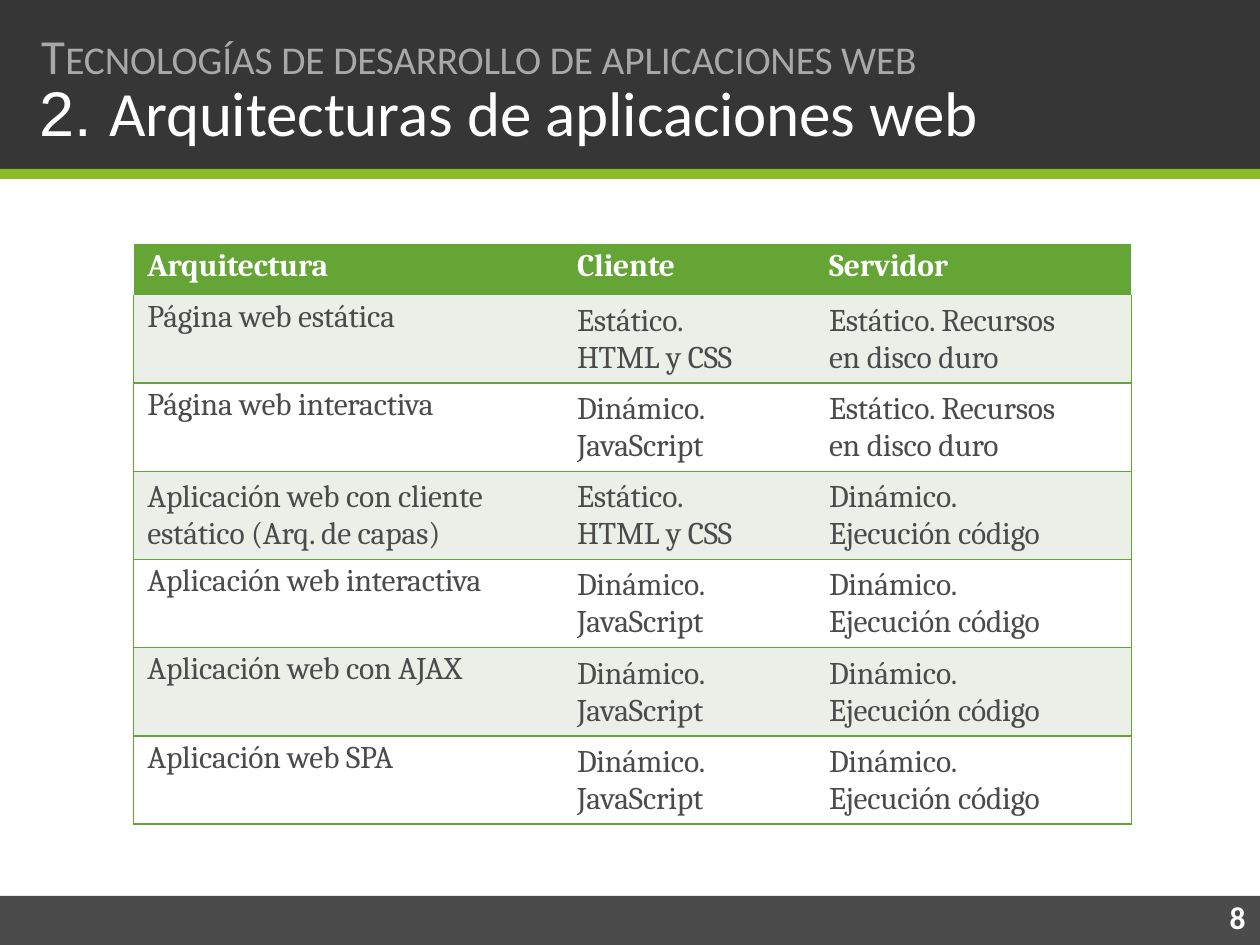
from lxml import etree
from pptx import Presentation
from pptx import util as u
from pptx.dml.color import RGBColor
from pptx.enum import shapes
from pptx.oxml import ns

HUES = {"dark": "363636", "foot": "4B4B4B", "lime": "8BBB28", "green": "65A535",
        "pale": "EAF0E8", "white": "FFFFFF", "grey": "A7A8A7"}
PLAIN = "{2D5ABB26-0587-4C30-8999-92F81FD0307C}"
HEADS = ["Arquitectura", "Cliente", "Servidor"]
STILL, LIVE = "Estático.\nHTML y CSS", "Dinámico.\nJavaScript"
DISK, CODE = "Estático. Recursos\nen disco duro", "Dinámico.\nEjecución código"
ROWS = [
    ["Página web estática", STILL, DISK],
    ["Página web interactiva", LIVE, DISK],
    ["Aplicación web con cliente\nestático (Arq. de capas)", STILL, CODE],
    ["Aplicación web interactiva", LIVE, CODE],
    ["Aplicación web con AJAX", LIVE, CODE],
    ["Aplicación web SPA", LIVE, CODE],
]
WIDTHS = [3.27, 1.96, 2.69]
INDENTS = [0.11, 0.25, 0.29]


def tint(name):
    """Return the named colour."""
    return RGBColor.from_string(HUES[name])


def add_run(para, words, size, hue, font, bold=False, gap=0):
    """Add one run, with letter spacing in points."""
    run = para.add_run()
    run.text = words
    run.font.size, run.font.name, run.font.bold = u.Pt(size), font, bold
    run.font.color.rgb = tint(hue)
    run.font._element.set("spc", str(round(gap * 100)))


def set_para(para, indent, before=0, line=None):
    """Set the left indent, space before and line pitch of a paragraph."""
    para._p.get_or_add_pPr().set("marL", str(u.Inches(indent)))
    para.space_before = u.Pt(before)
    if line:
        para.line_spacing = u.Pt(line)


def add_bar(slide, top, height, hue):
    """Add a band across the whole slide."""
    bar = slide.shapes.add_shape(shapes.MSO_SHAPE.RECTANGLE, 0, u.Inches(top),
                                 u.Inches(10), u.Inches(height))
    bar.shadow.inherit = False
    bar.fill.solid()
    bar.fill.fore_color.rgb = tint(hue)
    bar.line.fill.background()


def add_label(slide, spot, runs, indent, inset=0, before=0, line=None):
    """Add a one-line text box made of runs."""
    frame = slide.shapes.add_textbox(*map(u.Inches, spot)).text_frame
    frame.word_wrap = True
    frame.margin_left = frame.margin_right = frame.margin_bottom = 0
    frame.margin_top = u.Inches(inset)
    para = frame.paragraphs[0]
    set_para(para, indent, before, line)
    for run in runs:
        add_run(para, *run)


def add_edge(cell, side):
    """Draw a green line on one side of a cell."""
    props = cell._tc.get_or_add_tcPr()
    edge = etree.SubElement(props, ns.qn(f"a:ln{side}"), w=str(u.Pt(1)))
    fill = etree.SubElement(edge, ns.qn("a:solidFill"))
    etree.SubElement(fill, ns.qn("a:srgbClr"), val=HUES["green"])


def fill_cell(cell, words, row, col):
    """Write and style one cell by its place in the grid."""
    lines = words.split("\n")
    tall = len(lines) > 1
    cell.margin_left = cell.margin_right = cell.margin_bottom = 0
    cell.margin_top = u.Inches(0.06 if tall else 0.03)
    para = cell.text_frame.paragraphs[0]
    set_para(para, INDENTS[col], 4.1 if tall else 2.5, 21.1 if tall else None)
    for num, line in enumerate(lines):
        if num:
            para.add_line_break()
        add_run(para, line, 18, "foot" if row else "white", "Cambria", not row, -0.1)
    if row:
        for side in ["LB", "B", "RB"][col]:
            add_edge(cell, side)
    if row and row % 2 == 0:
        cell.fill.background()
    else:
        cell.fill.solid()
        cell.fill.fore_color.rgb = tint("pale" if row else "green")


def add_grid(slide):
    """Add the table of architectures."""
    data = [HEADS] + ROWS
    frame = slide.shapes.add_table(len(data), len(HEADS), u.Inches(1.06), u.Inches(1.94),
                                   u.Inches(sum(WIDTHS)), u.Inches(4.6))
    grid = frame.table
    grid.horz_banding = False
    grid._tbl.tblPr.find(ns.qn("a:tableStyleId")).text = PLAIN
    for col, width in enumerate(WIDTHS):
        grid.columns[col].width = u.Inches(width)
    for row, texts in enumerate(data):
        grid.rows[row].height = u.Inches(0.7 if row else 0.4)
        for col, words in enumerate(texts):
            fill_cell(grid.cell(row, col), words, row, col)


def main():
    """Build the slide and save it."""
    deck = Presentation()
    deck.slide_width, deck.slide_height = u.Inches(10), u.Inches(7.5)
    slide = deck.slides.add_slide(deck.slide_layouts[6])
    add_bar(slide, 7.11, 0.39, "foot")
    add_bar(slide, 0, 1.35, "dark")
    add_bar(slide, 1.34, 0.08, "lime")
    add_label(slide, (0.3, 0.57, 7.61, 0.63), [
        ("2. ", 36, "white", "Arial"),
        ("Arquitecturas ", 36, "white", "Calibri", False, -0.1),
        ("de ", 36, "white", "Calibri"),
        ("aplicaciones web", 36, "white", "Calibri", False, -0.1),
    ], 0.01, 0.01, 1)
    add_label(slide, (9.73, 7.18, 0.2, 0.28),
              [("8", 18, "white", "Calibri", True)], 0.03, line=18)
    add_label(slide, (0.32, 0.19, 7.74, 0.49), [
        ("T", 28, "grey", "Calibri", False, -0.1),
        ("ECNOLOGÍAS DE ", 22.5, "grey", "Calibri", False, -0.1),
        ("DESARROLLO ", 22.5, "grey", "Calibri", False, -0.2),
        ("DE APLICACIONES WEB", 22.5, "grey", "Calibri", False, -0.1),
    ], 0.01, 0.01, 0.9)
    add_grid(slide)
    deck.save("out.pptx")


if __name__ == "__main__":
    main()
